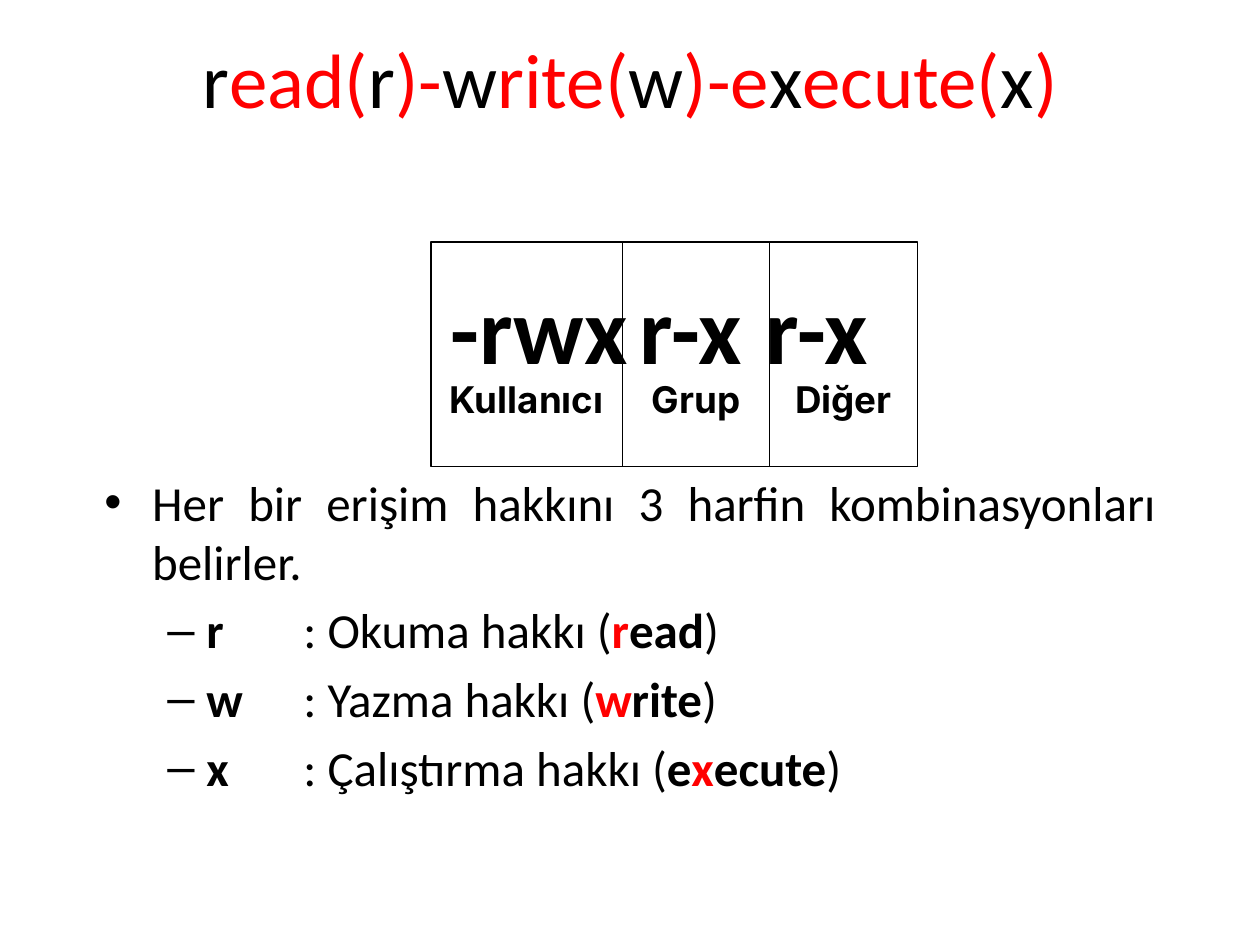
from dataclasses import dataclass
from lxml import etree
from pptx import Presentation
from pptx.dml.color import RGBColor
from pptx.enum.shapes import MSO_SHAPE
from pptx.enum.text import MSO_ANCHOR, PP_ALIGN
from pptx.oxml.ns import qn
from pptx.util import Inches, Pt

BOX = MSO_SHAPE.ROUNDED_RECTANGLE
MIDDLE = MSO_ANCHOR.MIDDLE
CENTER, JUSTIFY, LEFT = PP_ALIGN.CENTER, PP_ALIGN.JUSTIFY, PP_ALIGN.LEFT


@dataclass(frozen=True)
class Theme:
    ink: RGBColor = RGBColor(0, 0, 0)
    red: RGBColor = RGBColor(255, 0, 0)
    text: str = "Calibri"
    label: str = "Inter"
    title: int = 44
    mode: int = 54
    body: int = 28
    small: int = 21


THEME = Theme()
TITLE = ["r", "ead(", "r", ")-", "w", "rite(", "w", ")-e", "x", "ecute(", "x", ")"]
PANELS = [("Kullanıcı", 1.52), ("Grup", 1.17), ("Diğer", 1.17)]
# letter, meaning, then the word split around its red letter
RIGHTS = [
    ("r", "Okuma", "", "r", "ead"),
    ("w", "Yazma", "", "w", "rite"),
    ("x", "Çalıştırma", "e", "x", "ecute"),
]


def style(par, size, align=LEFT, name=THEME.text, bold=False):
    par.alignment = align
    font = par.font
    font.name, font.size, font.bold = name, Pt(size), bold
    font.color.rgb = THEME.ink


def add_run(par, text, color=None, bold=None):
    if text:
        run = par.add_run()
        run.text = text
        run.font.bold = bold
        if color is not None:
            run.font.color.rgb = color


def indent(par, left, first=0, bullet=None, tabs=()):
    """Set margins, bullet and tab stops, in schema order."""
    props = par._p.get_or_add_pPr()
    props.set("marL", str(Inches(left)))
    props.set("indent", str(Inches(first)))
    nodes = []
    if bullet:
        font = etree.Element(qn("a:buFont"), typeface="Arial")
        nodes += [font, etree.Element(qn("a:buChar"), char=bullet)]
    if tabs:
        stops = etree.Element(qn("a:tabLst"))
        for pos in tabs:
            etree.SubElement(stops, qn("a:tab"), pos=str(Inches(pos)), algn="l")
        nodes.append(stops)
    end = props.find(qn("a:defRPr"))
    for node in nodes:
        if end is None:
            props.append(node)
        else:
            end.addprevious(node)


def add_title(slide):
    title = slide.shapes.title
    title.left, title.top = Inches(0), Inches(-0.01)
    title.width, title.height = Inches(10), Inches(1.25)
    title.text_frame.vertical_anchor = MIDDLE
    par = title.text_frame.paragraphs[0]
    style(par, THEME.title, CENTER)
    for i, part in enumerate(TITLE):
        add_run(par, part, THEME.red if i % 2 else THEME.ink)


def add_body(slide):
    box = slide.shapes.add_textbox(Inches(0.73), Inches(2.09), Inches(8.54), Inches(5.22))
    frame = box.text_frame
    frame.word_wrap = True

    par = frame.paragraphs[0]
    style(par, THEME.mode, bold=True)
    indent(par, 2.75, tabs=(4.28, 5.43))
    add_run(par, "-rwx\tr-x\tr-x")

    par = frame.add_paragraph()
    style(par, THEME.body, JUSTIFY)
    par.space_before = Pt(51)
    indent(par, 0.38, -0.38, "•")
    add_run(par, "Her bir erişim hakkını 3 harfin kombinasyonları belirler.")

    for letter, sense, head, key, tail in RIGHTS:
        par = frame.add_paragraph()
        par.level = 1
        style(par, THEME.body)
        par.space_before = Pt(5.6)
        indent(par, 0.81, -0.31, "–", (1.58,))
        add_run(par, f"{letter}\t", bold=True)
        add_run(par, f": {sense} hakkı (")
        add_run(par, head, bold=True)
        add_run(par, key, THEME.red, True)
        add_run(par, tail, bold=True)
        add_run(par, ")")


def add_panel(slide, label, left, width):
    panel = slide.shapes.add_shape(BOX, Inches(left), Inches(1.92), Inches(width), Inches(1.78))
    panel.adjustments[0] = 0
    panel.shadow.inherit = False
    panel.fill.background()
    panel.line.color.rgb = THEME.ink
    panel.line.width = Pt(0.75)
    frame = panel.text_frame
    frame.vertical_anchor = MIDDLE
    frame.margin_left = frame.margin_right = frame.margin_bottom = 0
    frame.margin_top = Inches(0.71)
    par = frame.paragraphs[0]
    style(par, THEME.small, CENTER, THEME.label, True)
    add_run(par, label)


def main():
    deck = Presentation()
    deck.slide_width, deck.slide_height = Inches(10), Inches(7.5)
    slide = deck.slides.add_slide(deck.slide_layouts[5])
    add_title(slide)
    add_body(slide)
    left = 3.42
    for label, width in PANELS:
        add_panel(slide, label, left, width)
        left += width
    deck.save("out.pptx")


if __name__ == "__main__":
    main()
